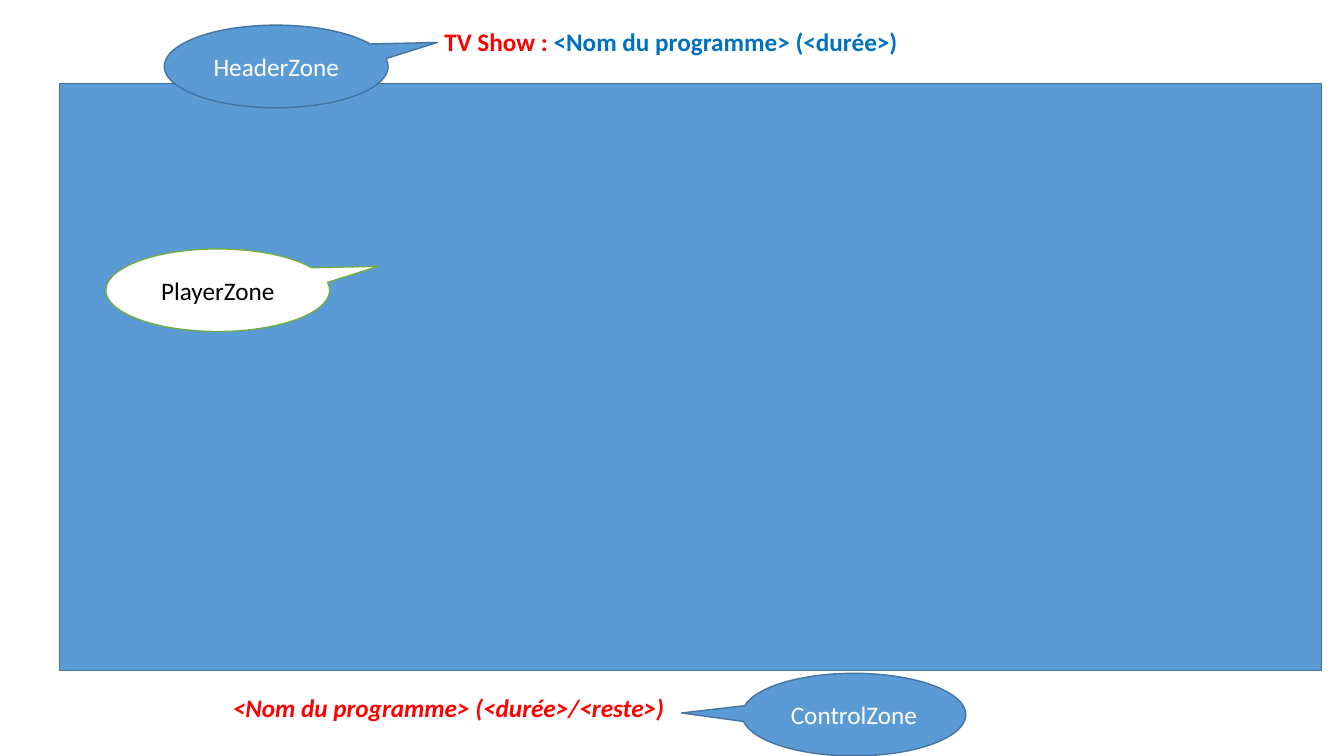
from pptx import Presentation
from pptx.dml.color import RGBColor
from pptx.enum.shapes import MSO_SHAPE
from pptx.enum.text import MSO_ANCHOR, MSO_AUTO_SIZE, PP_ALIGN
from pptx.util import Inches, Pt

RECTANGLE = MSO_SHAPE.RECTANGLE
CALLOUT = MSO_SHAPE.OVAL_CALLOUT
LEFT, CENTER = PP_ALIGN.LEFT, PP_ALIGN.CENTER
TOP, MIDDLE = MSO_ANCHOR.TOP, MSO_ANCHOR.MIDDLE
NO_AUTOFIT = MSO_AUTO_SIZE.NONE
TITLE_ONLY = 5

COLORS = {
    "blue": "5B9BD5", "dark_blue": "43739E", "title_blue": "0070C0",
    "red": "FF0000", "green": "70AD47", "white": "FFFFFF", "black": "000000",
}


def color(name):
    return RGBColor.from_string(COLORS[name])


def write(shape, runs, align=LEFT, anchor=TOP, font="Calibri", size=18,
          bold=False, italic=False):
    """Fill a shape with one paragraph of (text, color name) runs."""
    frame = shape.text_frame
    frame.word_wrap = True
    frame.auto_size = NO_AUTOFIT
    frame.vertical_anchor = anchor
    paragraph = frame.paragraphs[0]
    paragraph.alignment = align
    for text, color_name in runs:
        run = paragraph.add_run()
        run.text = text
        run.font.name, run.font.size = font, Pt(size)
        run.font.bold, run.font.italic = bold, italic
        run.font.color.rgb = color(color_name)


class Screen:
    """Slide whose lengths are percentages of its width and height."""

    callout_size = (16.65, 10.93)
    line_width = Pt(1)

    def __init__(self, presentation):
        self.width = presentation.slide_width
        self.height = presentation.slide_height
        layout = presentation.slide_layouts[TITLE_ONLY]
        self.slide = presentation.slides.add_slide(layout)

    def box(self, left, top, width, height):
        return (round(left * self.width / 100), round(top * self.height / 100),
                round(width * self.width / 100), round(height * self.height / 100))

    def title(self, area, runs, **style):
        shape = self.slide.shapes.title
        shape.left, shape.top, shape.width, shape.height = self.box(*area)
        write(shape, runs, **style)

    def label(self, area, runs, **style):
        write(self.slide.shapes.add_textbox(*self.box(*area)), runs, **style)

    def shape(self, kind, area, fill="blue", line="dark_blue"):
        shape = self.slide.shapes.add_shape(kind, *self.box(*area))
        shape.shadow.inherit = False
        shape.fill.solid()
        shape.fill.fore_color.rgb = color(fill)
        shape.line.color.rgb = color(line)
        shape.line.width = self.line_width
        return shape

    def callout(self, text, left, top, tip, text_color="white", **colors):
        shape = self.shape(CALLOUT, (left, top, *self.callout_size), **colors)
        for index, offset in enumerate(tip):
            shape.adjustments[index] = offset
        write(shape, [(text, text_color)], align=CENTER, anchor=MIDDLE)


presentation = Presentation()
presentation.slide_width, presentation.slide_height = Inches(13.33), Inches(7.5)
screen = Screen(presentation)

# Header line
screen.title((0.83, 2.8, 98.2, 5.33),
             [("TV Show : ", "red"), ("<Nom du programme> (<durée>)", "title_blue")],
             align=CENTER, bold=True)

# Player area
screen.shape(RECTANGLE, (4.43, 11.07, 93.92, 77.6))

# Control line
screen.label((16.58, 90.93, 56.71, 5.33),
             [("<Nom du programme> (<durée>/<reste>)", "red")],
             bold=True, italic=True)

# Zone callouts
tip_right, tip_left = (0.72, -0.29), (-0.77, -0.02)
screen.callout("HeaderZone", 12.23, 3.33, tip_right)
screen.callout("ControlZone", 55.21, 89.07, tip_left)
screen.callout("PlayerZone", 7.88, 32.93, tip_right, text_color="black",
               fill="white", line="green")

presentation.save("out.pptx")
